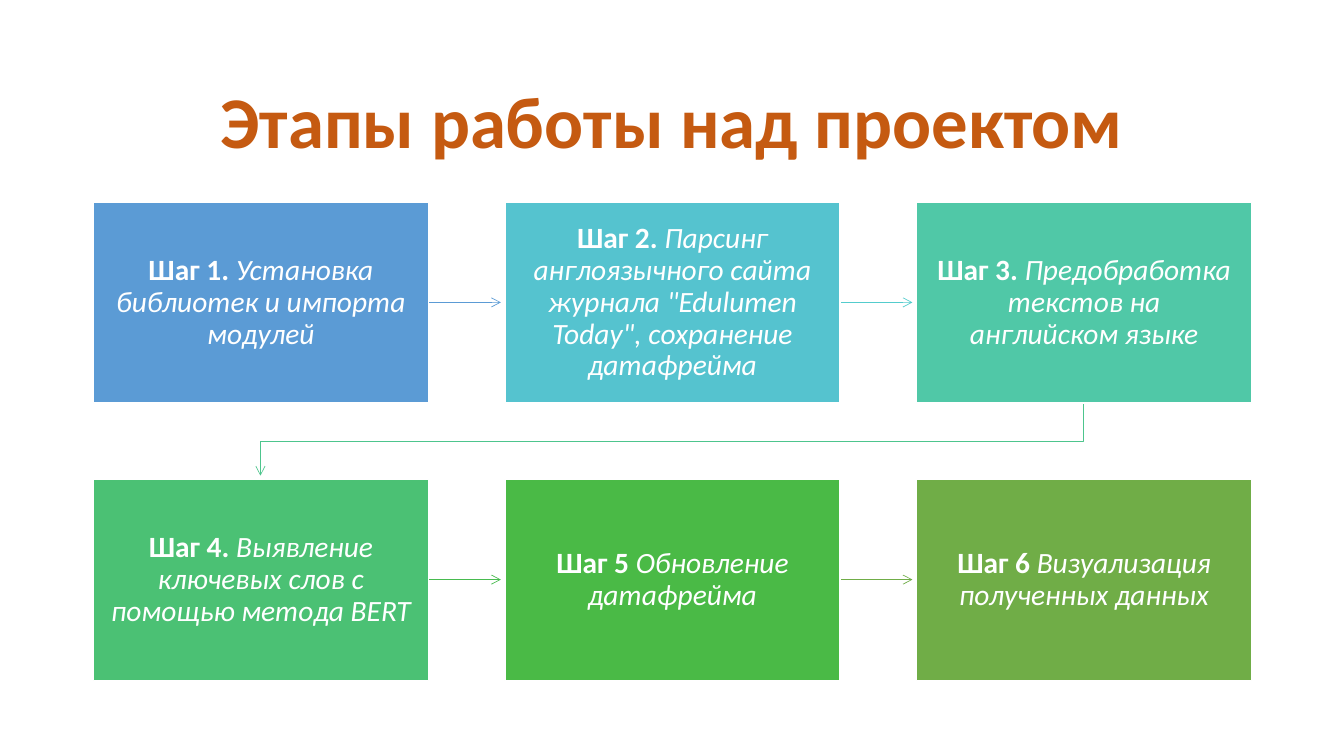
from collections import namedtuple

from lxml.etree import SubElement
from pptx import Presentation
from pptx.dml.color import RGBColor
from pptx.enum.shapes import MSO_CONNECTOR, MSO_SHAPE
from pptx.enum.text import MSO_ANCHOR, MSO_AUTO_SIZE, PP_ALIGN
from pptx.oxml.ns import qn
from pptx.util import Pt

PX = 9525
PAGE_WIDTH, PAGE_HEIGHT = 1280, 720
COLUMNS = 3
CARD_WIDTH, CARD_HEIGHT = 319, 191
COLUMN_PITCH, ROW_PITCH = 392, 264
ARROW_GAP = 4  # clear space between an arrowhead and the next card

COLORS = {
    "page": "FFFFFF",
    "title": "C55A11",
    "card_text": "FFFFFF",
    "card_border": "FFFFFF",
}

Box = namedtuple("Box", "left top width height")
Step = namedtuple("Step", "label text fill arrow")

TITLE_BOX = Box(88, 59, 1104, 119)
STEPS_BOX = Box(89, 193, 1103, 455)

# Each arrow leaves its own step; the last step has none.
STEPS = [
    Step("Шаг 1. ", "Установка библиотек и импорта модулей", "5B9BD5", "5B9BD5"),
    Step("Шаг 2. ", 'Парсинг англоязычного сайта журнала "Edulumen Today", '
         "сохранение датафрейма", "55C3CF", "54CCCD"),
    Step("Шаг 3. ", "Предобработка текстов на английском языке", "50C8A7", "4DC58D"),
    Step("Шаг 4. ", "Выявление ключевых слов с помощью метода BERT", "4BC174", "48BB4F"),
    Step("Шаг 5 ", "Обновление датафрейма", "4ABA46", "70AD47"),
    Step("Шаг 6 ", "Визуализация полученных данных", "70AD47", None),
]

FRAME_FORMAT = {
    "word_wrap": True,
    "auto_size": MSO_AUTO_SIZE.NONE,
    "vertical_anchor": MSO_ANCHOR.MIDDLE,
}
CARD_MARGINS = {
    "margin_left": 15 * PX,
    "margin_right": 15 * PX,
    "margin_top": 16 * PX,
    "margin_bottom": 16 * PX,
}
PARAGRAPH_FORMAT = {"alignment": PP_ALIGN.CENTER, "line_spacing": 0.9}
TITLE_FONT = {"name": "Calibri", "size": Pt(52), "bold": True}
LABEL_FONT = {"name": "Calibri", "size": Pt(21), "bold": True, "italic": False}
STEP_FONT = {"name": "Calibri", "size": Pt(21), "bold": False, "italic": True}


def rgb(value):
    return RGBColor.from_string(value)


def apply(target, values):
    for name, value in values.items():
        setattr(target, name, value)


def write(frame, spans, color):
    """Fill the frame with one centred paragraph of (text, font) spans."""
    apply(frame, FRAME_FORMAT)
    para = frame.paragraphs[0]
    apply(para, PARAGRAPH_FORMAT)
    for text, font in spans:
        span = para.add_run()
        span.text = text
        apply(span.font, font)
        span.font.color.rgb = rgb(color)


def place(shape, box):
    for name, length in box._asdict().items():
        setattr(shape, name, length * PX)


def add_title(page, box, text):
    title = page.shapes.title
    place(title, box)
    write(title.text_frame, [(text, TITLE_FONT)], COLORS["title"])


def add_card(page, box, step):
    card = page.shapes.add_shape(MSO_SHAPE.RECTANGLE, *(length * PX for length in box))
    card.shadow.inherit = False
    card.fill.solid()
    card.fill.fore_color.rgb = rgb(step.fill)
    card.line.color.rgb = rgb(COLORS["card_border"])
    card.line.width = Pt(1)
    apply(card.text_frame, CARD_MARGINS)
    spans = [(step.label, LABEL_FONT), (step.text, STEP_FONT)]
    write(card.text_frame, spans, COLORS["card_text"])


def style_arrow(arrow, color):
    arrow.line.color.rgb = rgb(color)
    arrow.line.width = Pt(0.5)
    properties = arrow.element.spPr
    SubElement(properties.find(qn("a:ln")), qn("a:tailEnd"), type="arrow")
    SubElement(properties, qn("a:effectLst"))


def add_arrow_across(page, start, end, color):
    middle = start.top + start.height // 2
    ends = (start.left + start.width, middle, end.left - ARROW_GAP, middle)
    arrow = page.shapes.add_connector(
        MSO_CONNECTOR.STRAIGHT, *(length * PX for length in ends))
    style_arrow(arrow, color)


def add_arrow_to_next_row(page, start, end, color):
    start_x = start.left + start.width // 2
    end_x = end.left + end.width // 2
    bottom = start.top + start.height
    bend = (bottom + end.top) // 2
    outline = page.shapes.build_freeform(start_x, bottom, scale=PX)
    outline.add_line_segments(
        [(start_x, bend), (end_x, bend), (end_x, end.top - ARROW_GAP)], close=False)
    arrow = outline.convert_to_shape()
    arrow.fill.background()
    style_arrow(arrow, color)


def add_steps(page, box, steps):
    cards = [
        Box(box.left + index % COLUMNS * COLUMN_PITCH,
            box.top + index // COLUMNS * ROW_PITCH, CARD_WIDTH, CARD_HEIGHT)
        for index in range(len(steps))
    ]
    for step, start, end in zip(steps, cards, cards[1:]):
        add_arrow = add_arrow_across if start.top == end.top else add_arrow_to_next_row
        add_arrow(page, start, end, step.arrow)
    for step, card in zip(steps, cards):
        add_card(page, card, step)


def main():
    deck = Presentation()
    deck.slide_width = PAGE_WIDTH * PX
    deck.slide_height = PAGE_HEIGHT * PX
    page = deck.slides.add_slide(deck.slide_layouts.get_by_name("Title Only"))
    page.background.fill.solid()
    page.background.fill.fore_color.rgb = rgb(COLORS["page"])
    add_title(page, TITLE_BOX, "Этапы работы над проектом")
    add_steps(page, STEPS_BOX, STEPS)
    deck.save("out.pptx")


if __name__ == "__main__":
    main()
